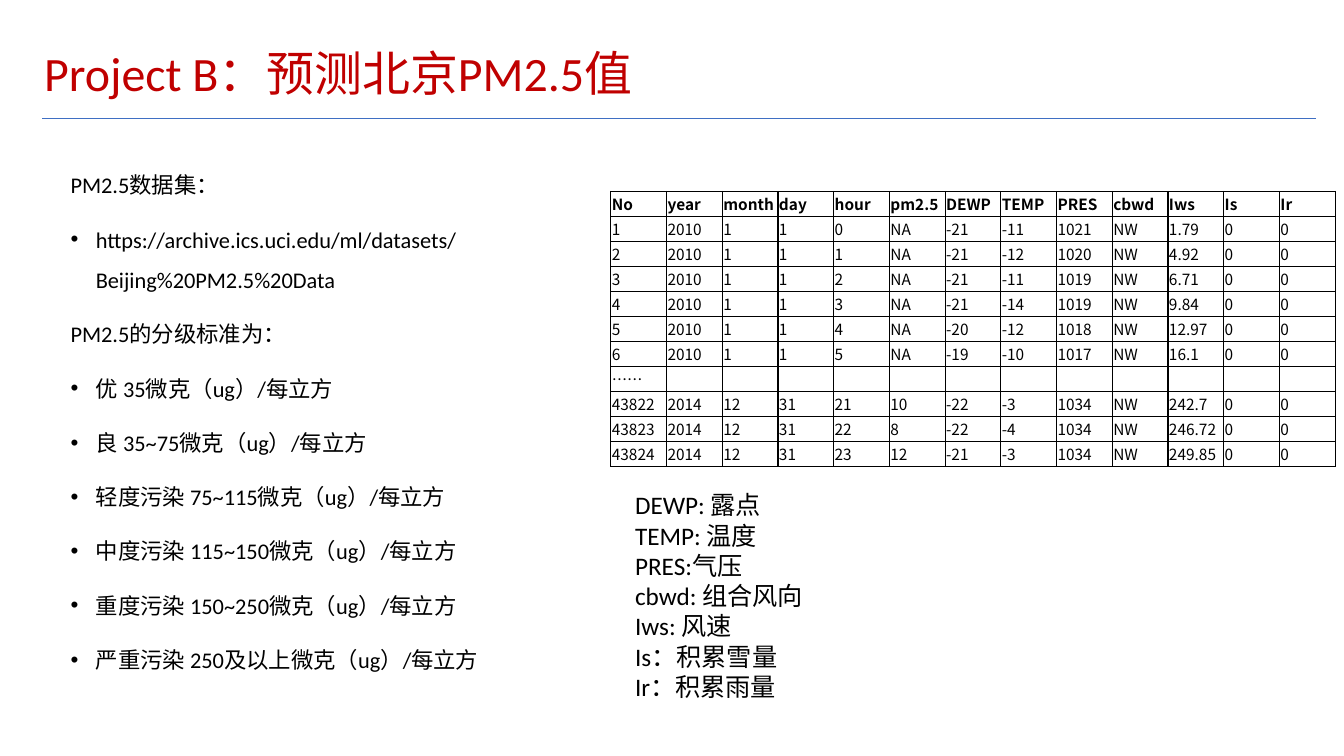
from pptx import Presentation
from pptx.dml.color import RGBColor
from pptx.enum.shapes import MSO_CONNECTOR
from pptx.enum.text import MSO_ANCHOR, MSO_AUTO_SIZE, PP_ALIGN
from pptx.oxml.ns import qn
from pptx.util import Pt
from lxml import etree

RED = RGBColor(0xC0, 0x00, 0x00)
BLACK = RGBColor(0x00, 0x00, 0x00)
BLUE = RGBColor(0x3F, 0x6F, 0xC3)
LATIN_FONT = "Calibri"
CJK_FONT = "Noto Sans CJK SC"
STRAIGHT = MSO_CONNECTOR.STRAIGHT
MIDDLE = MSO_ANCHOR.MIDDLE
TOP = MSO_ANCHOR.TOP
LEFT = PP_ALIGN.LEFT
NO_AUTOFIT = MSO_AUTO_SIZE.NONE
GROW = MSO_AUTO_SIZE.SHAPE_TO_FIT_TEXT
INSET = Pt(3.6)
CELL_INSET = Pt(0.72)
CELL_SIZE = Pt(11)
BULLET_INDENT = Pt(18)

TITLE = "Project B：预测北京PM2.5值"
STANDARDS = [
    ("PM2.5数据集：", False),
    ("https://archive.ics.uci.edu/ml/datasets/Beijing%20PM2.5%20Data", True),
    ("PM2.5的分级标准为：", False),
    ("优 35微克（ug）/每立方", True),
    ("良 35~75微克（ug）/每立方", True),
    ("轻度污染 75~115微克（ug）/每立方", True),
    ("中度污染 115~150微克（ug）/每立方", True),
    ("重度污染 150~250微克（ug）/每立方", True),
    ("严重污染 250及以上微克（ug）/每立方", True),
]
FIELD_MEANINGS = ["DEWP: 露点", "TEMP: 温度", "PRES:气压", "cbwd: 组合风向",
                  "Iws: 风速", "Is：积累雪量", "Ir：积累雨量"]
FIELDS = "No year month day hour pm2.5 DEWP TEMP PRES cbwd Iws Is Ir"
RECORDS = [
    "1 2010 1 1 0 NA -21 -11 1021 NW 1.79 0 0",
    "2 2010 1 1 1 NA -21 -12 1020 NW 4.92 0 0",
    "3 2010 1 1 2 NA -21 -11 1019 NW 6.71 0 0",
    "4 2010 1 1 3 NA -21 -14 1019 NW 9.84 0 0",
    "5 2010 1 1 4 NA -20 -12 1018 NW 12.97 0 0",
    "6 2010 1 1 5 NA -19 -10 1017 NW 16.1 0 0",
    "……",
    "43822 2014 12 31 21 10 -22 -3 1034 NW 242.7 0 0",
    "43823 2014 12 31 22 8 -22 -4 1034 NW 246.72 0 0",
    "43824 2014 12 31 23 12 -21 -3 1034 NW 249.85 0 0",
]


def place(shape, left, top, width, height):
    """Set the position and size of a shape in points."""
    shape.left, shape.top = Pt(left), Pt(top)
    shape.width, shape.height = Pt(width), Pt(height)


def set_frame(frame, anchor, auto_size):
    """Set the wrapping, insets and anchor of a text frame."""
    frame.word_wrap = True
    frame.auto_size = auto_size
    frame.vertical_anchor = anchor
    frame.margin_left = frame.margin_right = INSET
    frame.margin_top = frame.margin_bottom = INSET


def add_run(paragraph, text, size, color, latin=LATIN_FONT, bold=False):
    """Add one formatted run with Latin and East Asian fonts."""
    run = paragraph.add_run()
    run.text = text
    run.font.size = size
    run.font.bold = bold
    run.font.color.rgb = color
    run.font.name = latin
    east_asian = etree.SubElement(run.font._element, qn("a:ea"))
    east_asian.set("typeface", CJK_FONT)


def next_paragraph(frame, index):
    """Return the first paragraph of a frame or a new one."""
    return frame.add_paragraph() if index else frame.paragraphs[0]


def set_bullet(paragraph, bulleted):
    """Give a paragraph a hanging bullet, or none."""
    properties = paragraph._p.get_or_add_pPr()
    indent = BULLET_INDENT if bulleted else 0
    properties.set("marL", str(indent))
    properties.set("indent", str(-indent))
    if bulleted:
        font = etree.SubElement(properties, qn("a:buFont"))
        font.set("typeface", "Arial")
        etree.SubElement(properties, qn("a:buChar")).set("char", "•")
    else:
        etree.SubElement(properties, qn("a:buNone"))


def fill_title(title):
    """Write the slide title."""
    place(title, 28, 28.8, 801.4, 51.1)
    set_frame(title.text_frame, MIDDLE, NO_AUTOFIT)
    paragraph = title.text_frame.paragraphs[0]
    paragraph.alignment = LEFT
    paragraph.line_spacing = 0.9
    add_run(paragraph, TITLE, Pt(34.2), RED)


def add_title_rule(slide):
    """Draw the thin line under the title."""
    rule = slide.shapes.add_connector(STRAIGHT, Pt(30.2), Pt(84.6), Pt(940.3), Pt(84.6))
    rule.line.color.rgb = BLUE
    rule.line.width = Pt(0.75)
    etree.SubElement(rule._element.spPr, qn("a:effectLst"))


def fill_standards(body):
    """Write the data set link and the grading list."""
    place(body, 46.8, 109.4, 394.6, 331.2)
    set_frame(body.text_frame, TOP, NO_AUTOFIT)
    for index, (text, bulleted) in enumerate(STANDARDS):
        paragraph = next_paragraph(body.text_frame, index)
        set_bullet(paragraph, bulleted)
        paragraph.line_spacing = 1.5
        paragraph.space_before = Pt(10 if index else 0)
        add_run(paragraph, text, Pt(16), BLACK)


def add_field_meanings(slide):
    """Add the legend that explains the table fields."""
    legend = slide.shapes.add_textbox(Pt(450), Pt(346.3), Pt(200.2), Pt(159.8))
    set_frame(legend.text_frame, TOP, GROW)
    for index, text in enumerate(FIELD_MEANINGS):
        add_run(next_paragraph(legend.text_frame, index), text, Pt(18), BLACK)


def set_borders(cell):
    """Draw a one-point black border on all sides of a cell."""
    properties = cell._tc.get_or_add_tcPr()
    for position, side in enumerate(("a:lnL", "a:lnR", "a:lnT", "a:lnB")):
        border = etree.Element(qn(side), w=str(Pt(1)))
        fill = etree.SubElement(border, qn("a:solidFill"))
        etree.SubElement(fill, qn("a:srgbClr")).set("val", str(BLACK))
        properties.insert(position, border)


def fill_cell(cell, text, bold):
    """Format one table cell and write its value."""
    cell.fill.background()
    set_borders(cell)
    cell.vertical_anchor = MIDDLE
    cell.margin_left = cell.margin_right = CELL_INSET
    cell.margin_top = cell.margin_bottom = CELL_INSET
    paragraph = cell.text_frame.paragraphs[0]
    if text:
        add_run(paragraph, text, CELL_SIZE, BLACK, CJK_FONT, bold)
    else:
        end = etree.SubElement(paragraph._p, qn("a:endParaRPr"))
        end.set("sz", str(int(CELL_SIZE.pt * 100)))


def add_records(slide):
    """Add the table of hourly measurements."""
    rows = [line.split() for line in [FIELDS] + RECORDS]
    column_count = len(rows[0])
    frame = slide.shapes.add_table(len(rows), column_count, Pt(436.3), Pt(136.8),
                                   Pt(517.7), Pt(196.4))
    table = frame.table
    table.horz_banding = False
    for column in table.columns:
        column.width = Pt(39.82)
    for row_index, values in enumerate(rows):
        table.rows[row_index].height = Pt(17.85)
        padded = values + [""] * (column_count - len(values))
        for column_index, value in enumerate(padded):
            fill_cell(table.cell(row_index, column_index), value, row_index == 0)


def main():
    """Build the slide and save it."""
    presentation = Presentation()
    presentation.slide_width, presentation.slide_height = Pt(960), Pt(540)
    slide = presentation.slides.add_slide(presentation.slide_layouts[1])
    add_title_rule(slide)
    fill_title(slide.shapes.title)
    fill_standards(slide.placeholders[1])
    add_field_meanings(slide)
    add_records(slide)
    presentation.save("out.pptx")


if __name__ == "__main__":
    main()
